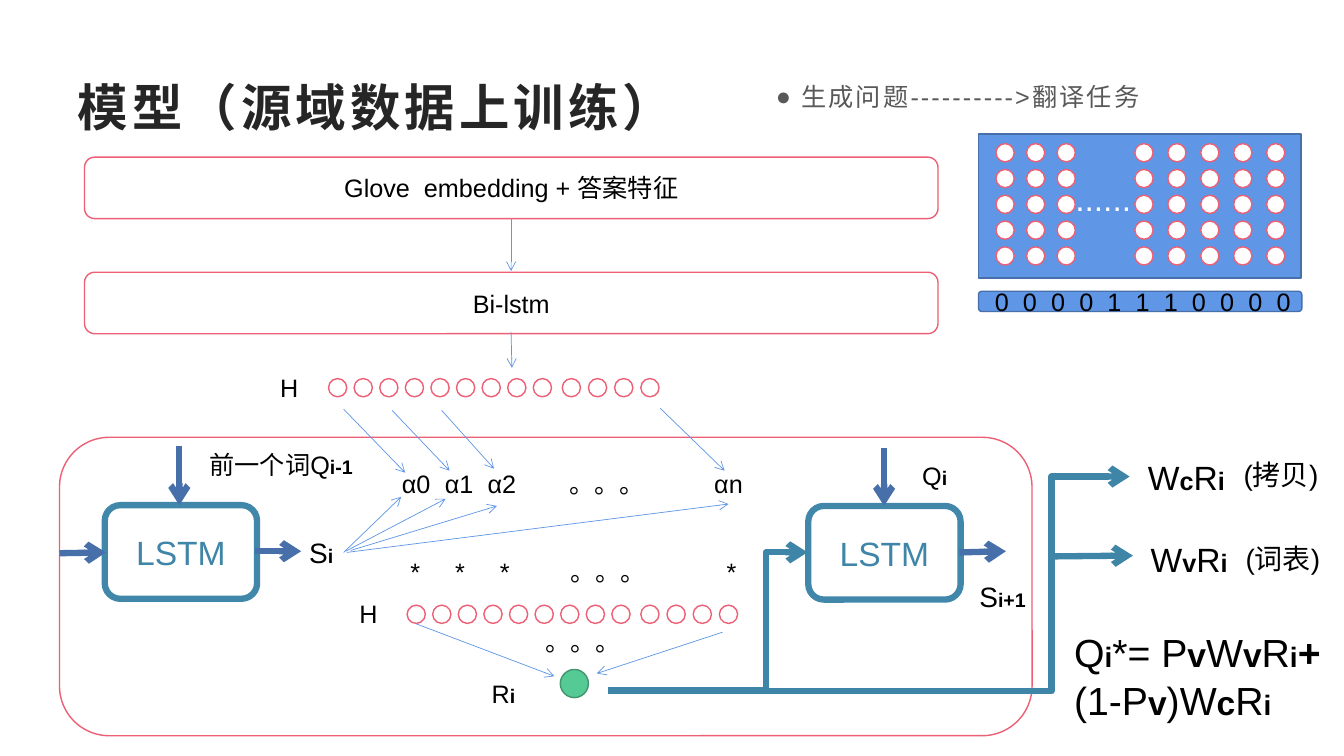
from lxml import etree
from pptx import Presentation, util as u
from pptx.dml import color as col
from pptx.enum import shapes as sh, text as tx
from pptx.oxml import ns


class Look:
    font = "Arial"
    ink, head, note, white = "000000", "262626", "595959", "FFFFFF"
    sky, navy, teal, word = "6096E6", "476FAA", "4187A9", "3E85A8"
    rose, green, moss = "EC5F74", "56CA95", "40956E"
    title, big, mid, state, base, small = 36, 28, 24, 20, 18, 14
    thin, edge, bold = 0.5, 1, 4.5


def write(frame, text, size=Look.base, color=Look.ink, bold=False, sub=Look.small,
          sizes={}, align=tx.PP_ALIGN.LEFT, anchor=tx.MSO_ANCHOR.TOP,
          fit=tx.MSO_AUTO_SIZE.NONE, gap=0, tabs=()):
    """Fill a text frame; parts between bars are bold and take the sub size."""
    frame.word_wrap, frame.auto_size, frame.vertical_anchor = True, fit, anchor
    for n, row in enumerate(text.split("\n")):
        para = frame.add_paragraph() if n else frame.paragraphs[0]
        para.alignment = align
        for k, part in enumerate(row.split("|")):
            if not part:
                continue
            run = para.add_run()
            run.text = part
            font = run.font
            font.name, font.bold = Look.font, bold or k % 2 == 1
            font.size = u.Pt(sizes.get(part, sub) if k % 2 else size)
            font.color.rgb = col.RGBColor.from_string(color)
            if gap:
                run._r.get_or_add_rPr().set("spc", str(int(gap * 100)))
        if tabs:
            stops = etree.SubElement(para._p.get_or_add_pPr(), ns.qn("a:tabLst"))
            for stop in tabs:
                etree.SubElement(stops, ns.qn("a:tab"), pos=str(u.Cm(stop)), algn="l")


def draw(kind, left, top, wide, high, fill, line, width=Look.edge):
    """Add a preset shape with its fill and outline."""
    shape = slide.shapes.add_shape(kind, u.Cm(left), u.Cm(top), u.Cm(wide), u.Cm(high))
    shape.shadow.inherit = False
    if fill:
        shape.fill.solid()
        shape.fill.fore_color.rgb = col.RGBColor.from_string(fill)
    else:
        shape.fill.background()
    shape.line.color.rgb = col.RGBColor.from_string(line)
    shape.line.width = u.Pt(width)
    return shape


deck = Presentation()
deck.slide_width, deck.slide_height = u.Cm(33.87), u.Cm(19.05)
slide = deck.slides.add_slide(deck.slide_layouts[1])
ROUND, BOX, OVAL = (sh.MSO_SHAPE.ROUNDED_RECTANGLE, sh.MSO_SHAPE.RECTANGLE,
                    sh.MSO_SHAPE.OVAL)
mid = dict(align=tx.PP_ALIGN.CENTER, anchor=tx.MSO_ANCHOR.MIDDLE)

# Title and task note
title, body = slide.placeholders
title.left, title.top, title.width, title.height = map(u.Cm, (1.7, 1.7, 30.48, 1.96))
write(title.text_frame, "模型（源域数据上训练）", size=Look.title, color=Look.head,
      bold=True, gap=3, anchor=tx.MSO_ANCHOR.MIDDLE)
body.left, body.top, body.width, body.height = map(u.Cm, (19.3, 1.7, 11.68, 1.47))
write(body.text_frame, "生成问题---------->翻译任务", color=Look.note, gap=1.5)
para = body.text_frame.paragraphs[0]
para.line_spacing, para.space_before, para.space_after = 1.3, u.Pt(0), u.Pt(10)
props = para._p.get_or_add_pPr()
props.set("marL", str(u.Cm(0.64)))
props.set("indent", str(u.Cm(-0.64)))
etree.SubElement(props, ns.qn("a:buChar"), char="●")

# Encoder layers
for top, name in ((3.96, "Glove  embedding + 答案特征"), (6.86, "Bi-lstm")):
    layer = draw(ROUND, 2.13, top, 21.51, 1.55, Look.white, Look.rose)
    write(layer.text_frame, name, **mid)

# Embedding matrix and answer flags
draw(BOX, 24.66, 3.38, 8.13, 3.63, Look.sky, Look.navy)
dot = 0.46
cols = [25.1 + 0.77 * i for i in range(3)] + [28.6 + 0.83 * i for i in range(5)]
for left in cols:
    for row in range(5):
        draw(OVAL, left, 3.62 + 0.65 * row, dot, dot, Look.white, Look.rose)
draw(ROUND, 24.66, 7.34, 8.15, 0.51, Look.sky, Look.navy)

# Decoder panel with two LSTM cells
draw(ROUND, 1.5, 11.02, 24.51, 7.52, Look.white, Look.rose)
for left, top in ((2.64, 12.73), (20.37, 12.75)):
    cell = draw(ROUND, left, top, 3.84, 2.36, None, Look.teal, Look.bold)
    write(cell.text_frame, "LSTM", size=Look.mid, color=Look.word, **mid)

# Hidden states, shown twice, and the context vector
for left, top in ((8.28, 9.54), (10.26, 15.25)):
    for i in range(13):
        step = 0.645 * i if i < 9 else 5.89 + 0.66 * (i - 9)
        draw(OVAL, left + step, top, dot, dot, Look.white, Look.rose)
draw(OVAL, 14.12, 16.87, 0.71, 0.71, Look.green, Look.moss)

# Arrows: start, end and, for an elbow, the place of its bend
thin = (
    (12.88, 5.49, 12.88, 6.83), (12.88, 8.36, 12.9, 9.27),
    (8.66, 10.31, 10.21, 11.91), (9.88, 10.34, 11.33, 11.86),
    (11.13, 10.34, 12.45, 11.81), (16.64, 10.29, 18.26, 11.86),
    (8.66, 13.92, 10.11, 12.52), (8.71, 13.89, 11.23, 12.57),
    (8.84, 13.87, 12.52, 12.75), (8.74, 13.92, 18.36, 12.7),
    (10.49, 15.72, 13.97, 17.04), (18.21, 15.93, 15.04, 16.97))
steps = (
    (4.52, 11.25, 4.52, 12.73), (6.43, 13.89, 7.59, 13.89),
    (22.28, 11.28, 22.28, 12.75), (24.18, 13.92, 25.35, 13.89),
    (1.5, 13.94, 2.67, 13.92))
outs = (
    (15.32, 17.4, 20.35, 13.92, 79200), (15.42, 17.42, 28.47, 12.01, 84900),
    (26.57, 14.02, 28.55, 14))
for group, color, width in ((thin, Look.sky, Look.thin), (steps, Look.navy, Look.bold),
                            (outs, Look.word, Look.bold)):
    for *ends, in group:
        bend = ends[4:]
        kind = sh.MSO_CONNECTOR.ELBOW if bend else sh.MSO_CONNECTOR.STRAIGHT
        arrow = slide.shapes.add_connector(kind, *map(u.Cm, ends[:4]))
        arrow.line.color.rgb = col.RGBColor.from_string(color)
        arrow.line.width = u.Pt(width)
        etree.SubElement(arrow.line._get_or_add_ln(), ns.qn("a:tailEnd"), type="arrow")
        etree.SubElement(arrow._element.spPr, ns.qn("a:effectLst"))
        if bend:
            guides = arrow._element.spPr.find(".//" + ns.qn("a:avLst"))
            etree.SubElement(guides, ns.qn("a:gd"), name="adj1", fmla=f"val {bend[0]}")

# Labels: left, top, width, height, text, format
state = dict(size=Look.state)
proj = dict(size=Look.mid, sub=Look.base)
labels = (
    (26.85, 4.37, 2.03, 1.27, "......", dict(size=Look.mid, color=Look.white)),
    (24.82, 7.09, 8.64, 1.02, "\t".join("00001110000"),
     dict(tabs=[0.71 * i for i in range(1, 11)])),
    (5.03, 11.2, 4.34, 1.02, "前一个词Q|i-1|", {}),
    (7.54, 13.36, 3.07, 1.12, "S|i|", state),
    (6.81, 9.25, 0.99, 1.02, "H", {}),
    (8.81, 14.96, 0.99, 1.02, "H", {}),
    (9.88, 11.68, 9.65, 1.02, "α0\tα1\tα2\t。。。\tαn",
     dict(tabs=(1.08, 2.16, 4.22, 7.87))),
    (9.91, 13.89, 9.65, 1.02, "\t*\t*\t*\t。。。\t*",
     dict(tabs=(0.18, 1.31, 2.44, 4.22, 8.15))),
    (13.49, 15.65, 2.21, 1.02, "。。。", {}),
    (12.14, 16.97, 1.73, 1.02, "R|i|", {}),
    (22.99, 11.48, 4.34, 1.02, "Q|i|", {}),
    (24.43, 14.48, 3.07, 1.12, "S|i+1|", state),
    (28.68, 11.4, 2.87, 1.27, "W|c|R|i|", proj),
    (28.75, 13.46, 3.58, 1.27, "W|v|R|i|", proj),
    (26.82, 15.72, 6.91, 2.64, "Q|i|*= P|v|W|v|R|i||+|\n(1-P|v|)W|c|R|i|",
     dict(size=Look.big, sub=Look.mid, sizes={"i": Look.state, "+": Look.big})),
    (31.14, 13.51, 2.51, 1.12, "(词表)", state),
    (31.09, 11.4, 2.51, 1.12, "(拷贝)", state))
for *area, text, form in labels:
    label = slide.shapes.add_textbox(*map(u.Cm, area))
    write(label.text_frame, text, fit=tx.MSO_AUTO_SIZE.SHAPE_TO_FIT_TEXT, **form)

deck.save("out.pptx")
